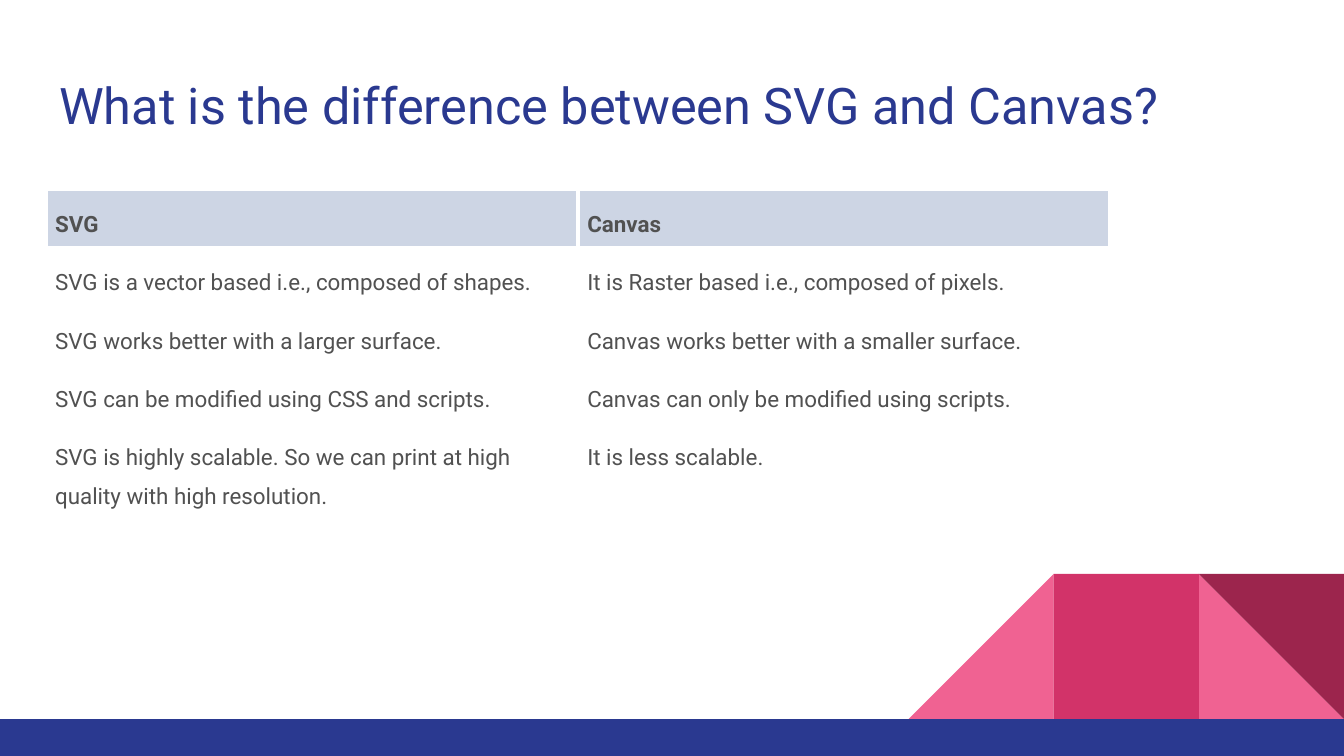
from lxml import etree
from pptx import Presentation
from pptx.dml.color import RGBColor
from pptx.enum.shapes import MSO_SHAPE
from pptx.enum.text import MSO_ANCHOR, PP_ALIGN
from pptx.oxml.ns import qn
from pptx.util import Inches, Pt

TRIANGLE = MSO_SHAPE.RIGHT_TRIANGLE
RECTANGLE = MSO_SHAPE.RECTANGLE
TOP = MSO_ANCHOR.TOP
MIDDLE = MSO_ANCHOR.MIDDLE
LEFT = PP_ALIGN.LEFT


def color(hex_code):
    return RGBColor.from_string(hex_code)


def add_run(paragraph, text, size, hex_code, bold=False):
    run = paragraph.add_run()
    run.text = text
    run.font.name = "Roboto"
    run.font.size = Pt(size)
    run.font.bold = bold
    run.font.color.rgb = color(hex_code)


slide_width = 10
slide_height = slide_width * 9 / 16
prs = Presentation()
prs.slide_width = Inches(slide_width)
prs.slide_height = Inches(slide_height)
slide = prs.slides.add_slide(prs.slide_layouts[5])

tile = 1.08
tile_top = 4.27
floor = tile_top + tile
decorations = [
    (TRIANGLE, slide_width - tile, tile_top, tile, tile, 0, "F06292"),
    (TRIANGLE, slide_width - 3 * tile, tile_top, tile, tile, 270, "F06292"),
    (RECTANGLE, slide_width - 2 * tile, tile_top, tile, tile, 0, "D23369"),
    (TRIANGLE, slide_width - tile, tile_top, tile, tile, 180, "9C254D"),
    (RECTANGLE, 0, floor, slide_width, slide_height - floor, 0, "2A3990"),
]
for preset, left, top, width, height, angle, fill in decorations:
    decoration = slide.shapes.add_shape(
        preset, Inches(left), Inches(top), Inches(width), Inches(height))
    decoration.rotation = angle
    decoration.shadow.inherit = False
    decoration.fill.solid()
    decoration.fill.fore_color.rgb = color(fill)
    decoration.line.fill.background()

title = slide.shapes.title
title.left, title.top = Inches(0.34), Inches(0.45)
title.width, title.height = Inches(9.32), Inches(0.66)
heading = title.text_frame
heading.margin_left = heading.margin_right = Inches(0.1)
heading.margin_top = heading.margin_bottom = Inches(0.1)
heading.vertical_anchor = TOP
heading.word_wrap = True
heading.paragraphs[0].alignment = LEFT
add_run(heading.paragraphs[0], "What is the difference between SVG and Canvas?",
        27, "2A3990")

comparison = [
    ("SVG", "Canvas"),
    ("SVG is a vector based i.e., composed of shapes.",
     "It is Raster based i.e., composed of pixels."),
    ("SVG works better with a larger surface.",
     "Canvas works better with a smaller surface."),
    ("SVG can be modified using CSS and scripts.",
     "Canvas can only be modified using scripts."),
    ("SVG is highly scalable. So we can print at high quality with high resolution.",
     "It is less scalable."),
]
row_height = 0.42
column_width = 3.96
table = slide.shapes.add_table(
    len(comparison), 2, Inches(0.34), Inches(1.41),
    Inches(2 * column_width), Inches(len(comparison) * row_height)).table
table.first_row = False
table.horz_banding = False
for column in table.columns:
    column.width = Inches(column_width)

for row_index, statements in enumerate(comparison):
    table.rows[row_index].height = Inches(row_height)
    is_header = row_index == 0
    for column_index, statement in enumerate(statements):
        cell = table.cell(row_index, column_index)
        cell.margin_left = cell.margin_right = Inches(0.07)
        cell.margin_top = cell.margin_bottom = Inches(0.07)
        cell.vertical_anchor = MIDDLE if is_header else TOP
        cell_properties = cell._tc.get_or_add_tcPr()
        for side in ("a:lnL", "a:lnR", "a:lnT", "a:lnB"):
            border = etree.SubElement(cell_properties, qn(side), w=str(Pt(2.25)))
            border_fill = etree.SubElement(border, qn("a:solidFill"))
            etree.SubElement(border_fill, qn("a:srgbClr"), val="FFFFFF")
        if is_header:
            cell.fill.solid()
            cell.fill.fore_color.rgb = color("CDD5E4")
        else:
            cell.fill.background()
        paragraph = cell.text_frame.paragraphs[0]
        paragraph.line_spacing = 1.5
        add_run(paragraph, statement, 12, "515151", is_header)

prs.save("out.pptx")
